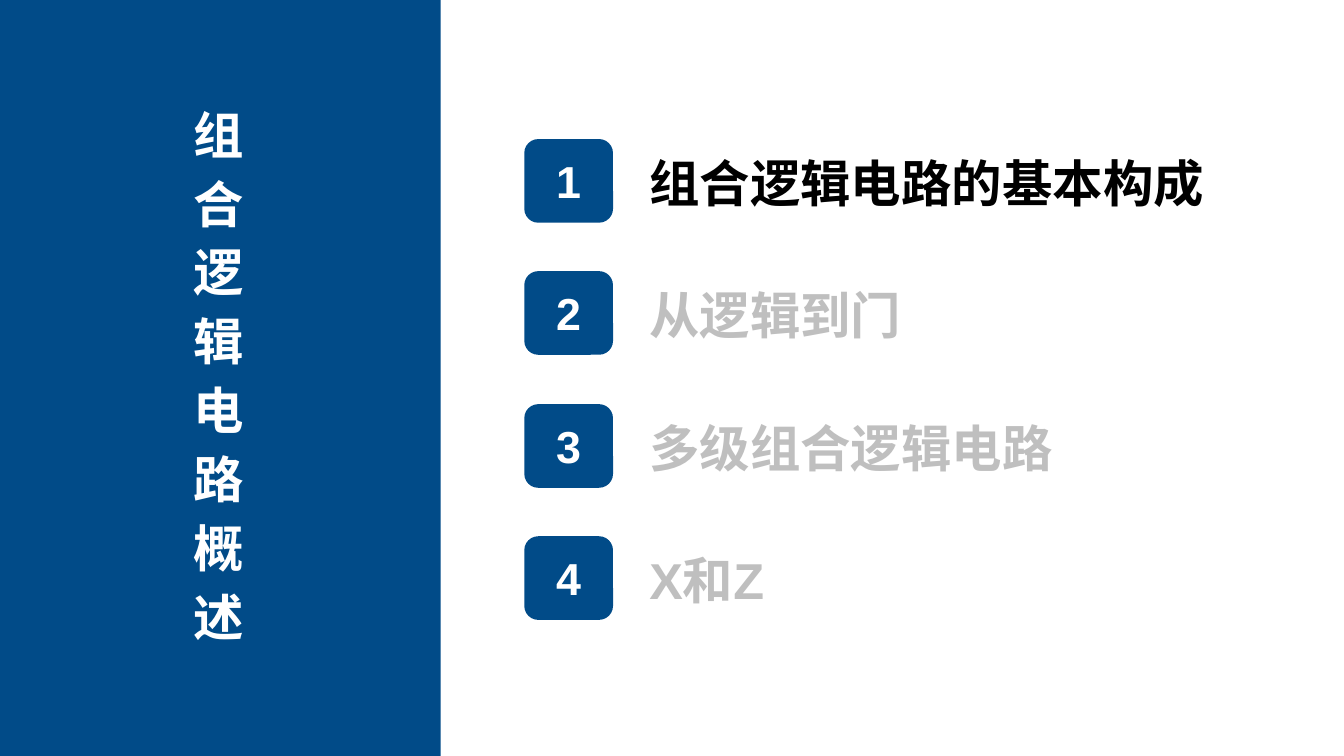
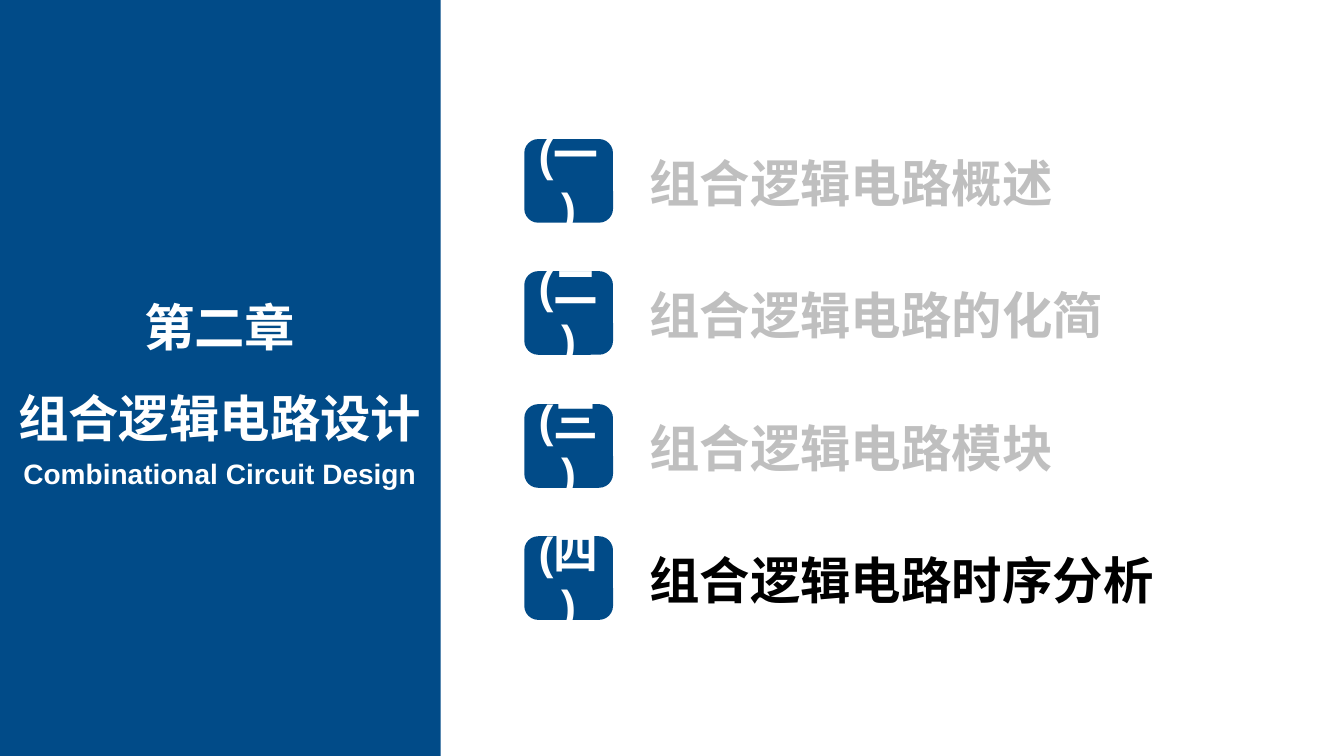
from pptx import Presentation
from pptx import util as u
from pptx.dml.color import RGBColor
from pptx.enum import shapes, text

PX = 9144  # 100 px to the inch
WIDTH, HEIGHT = 1333, 750
FONT = "Arial"
BLUE, WHITE, BLACK, GREY = "014B88", "FFFFFF", "000000", "BFBFBF"

# Agenda grid
FIRST_TOP, LAST_TOP = 138, 532
BADGE_LEFT, BADGE_WIDTH, BADGE_HEIGHT = 520, 88, 83
LABEL_LEFT, LABEL_DROP, LABEL_WIDTH, LABEL_HEIGHT = 644, 12, 556, 61


def color(hex_value):
    return RGBColor.from_string(hex_value)


def box(*lengths):
    return [u.Emu(length * PX) for length in lengths]


def add_lines(frame, lines, size, ink, align, space_after=None, line_spacing=None):
    for index, line in enumerate(lines):
        paragraph = frame.paragraphs[0] if index == 0 else frame.add_paragraph()
        paragraph.alignment = align
        paragraph.space_after = space_after
        paragraph.line_spacing = line_spacing
        run = paragraph.add_run()
        run.text = line
        run.font.name = FONT
        run.font.size = u.Pt(size)
        run.font.bold = True
        run.font.color.rgb = color(ink)


def add_block(slide, kind, place):
    shape = slide.shapes.add_shape(kind, *box(*place))
    shape.shadow.inherit = False
    shape.fill.solid()
    shape.fill.fore_color.rgb = color(BLUE)
    shape.line.fill.background()
    return shape


def add_text(slide, place, lines, size=36, ink=WHITE, align=text.PP_ALIGN.CENTER,
             anchor=text.MSO_ANCHOR.TOP, wrap=True, **spacing):
    frame = slide.shapes.add_textbox(*box(*place)).text_frame
    frame.margin_left = frame.margin_right = frame.margin_top = frame.margin_bottom = 0
    frame.word_wrap = wrap
    frame.auto_size = text.MSO_AUTO_SIZE.SHAPE_TO_FIT_TEXT
    frame.vertical_anchor = anchor
    add_lines(frame, lines, size, ink, align, **spacing)


def add_badge(slide, top, mark):
    place = (BADGE_LEFT, top, BADGE_WIDTH, BADGE_HEIGHT)
    badge = add_block(slide, shapes.MSO_SHAPE.ROUNDED_RECTANGLE, place)
    frame = badge.text_frame
    frame.margin_left, frame.margin_top, frame.margin_right, frame.margin_bottom = box(8, 5, 8, 5)
    frame.word_wrap = True
    frame.vertical_anchor = text.MSO_ANCHOR.MIDDLE
    add_lines(frame, [mark], 32, WHITE, text.PP_ALIGN.CENTER)


def add_agenda(slide, items, current):
    for index, (mark, label) in enumerate(items):
        top = FIRST_TOP + round(index * (LAST_TOP - FIRST_TOP) / (len(items) - 1))
        add_badge(slide, top, mark)
        add_text(slide, (LABEL_LEFT, top + LABEL_DROP, LABEL_WIDTH, LABEL_HEIGHT), [label],
                 ink=BLACK if mark == current else GREY,
                 align=text.PP_ALIGN.LEFT, anchor=text.MSO_ANCHOR.MIDDLE)


def add_agenda_slide(presentation, items, current):
    slide = presentation.slides.add_slide(presentation.slide_layouts[6])
    add_block(slide, shapes.MSO_SHAPE.RECTANGLE, (0, 0, 437, HEIGHT))
    add_agenda(slide, items, current)
    return slide


def main():
    presentation = Presentation()
    presentation.slide_width, presentation.slide_height = box(WIDTH, HEIGHT)

    # Section agenda with a vertical title
    section = add_agenda_slide(presentation, [
        ("1", "组合逻辑电路的基本构成"),
        ("2", "从逻辑到门"),
        ("3", "多级组合逻辑电路"),
        ("4", "X和Z"),
    ], current="1")
    add_text(section, (113, 103, 208, 544), list("组合逻辑电路概述"), space_after=u.Pt(6))

    # Chapter agenda with a bilingual title
    chapter = add_agenda_slide(presentation, [
        ("(一)", "组合逻辑电路概述"),
        ("(二)", "组合逻辑电路的化简"),
        ("(三)", "组合逻辑电路模块"),
        ("(四)", "组合逻辑电路时序分析"),
    ], current="(四)")
    add_text(chapter, (16, 264, 404, 171), ["第二章", "组合逻辑电路设计"],
             wrap=False, line_spacing=1.5)
    add_text(chapter, (22, 453, 392, 34), ["Combinational Circuit Design"], size=20, wrap=False)

    presentation.save("out.pptx")


if __name__ == "__main__":
    main()
